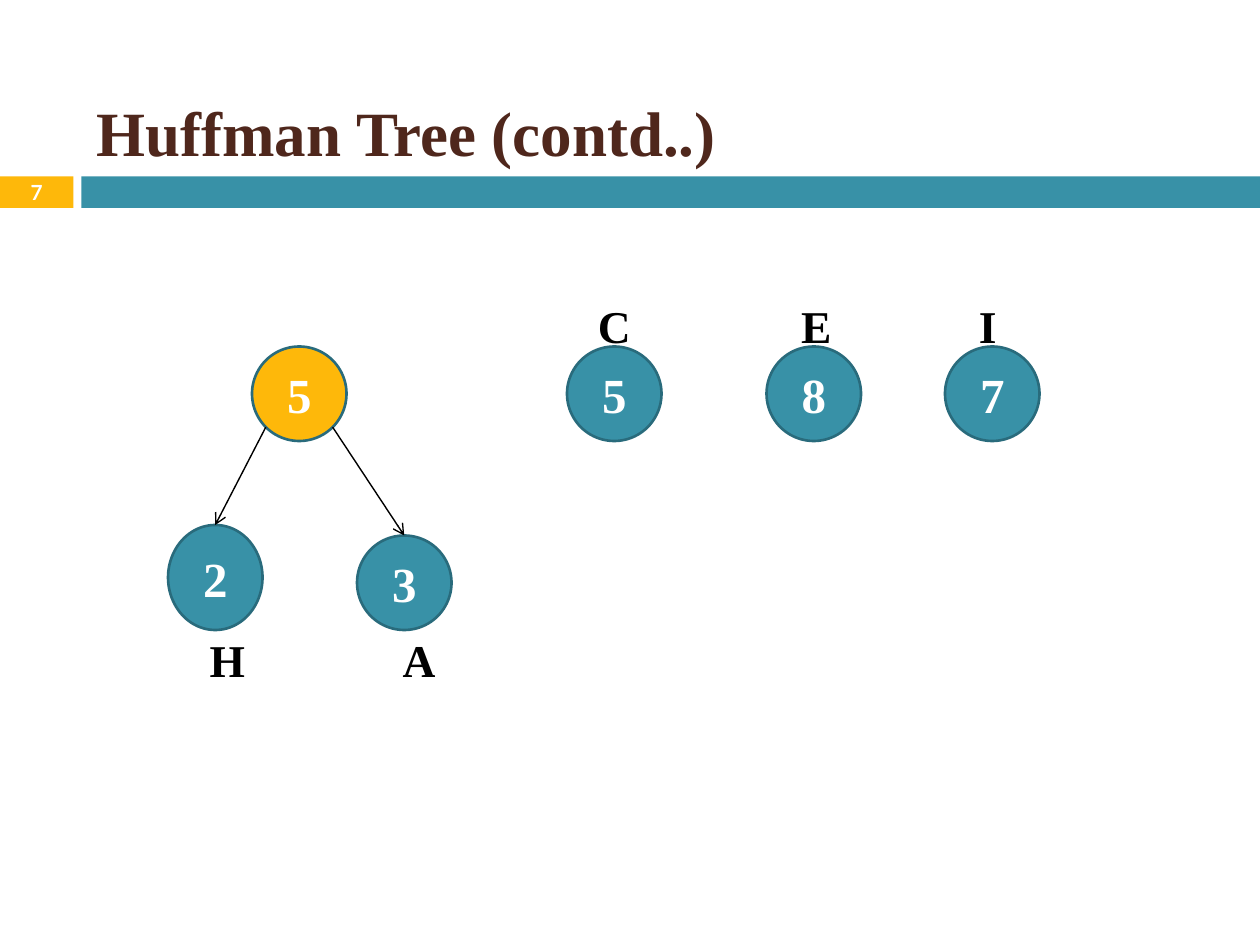
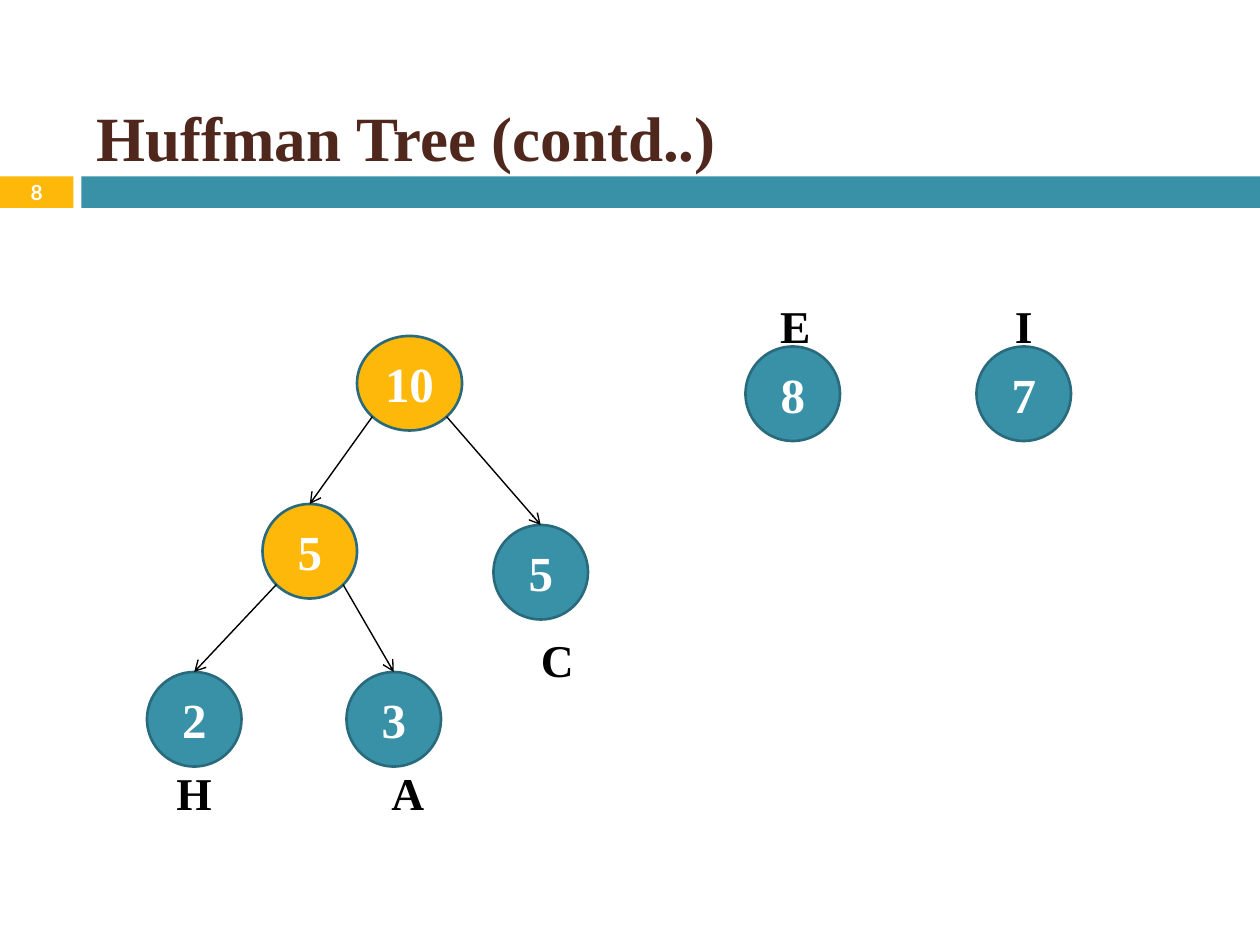
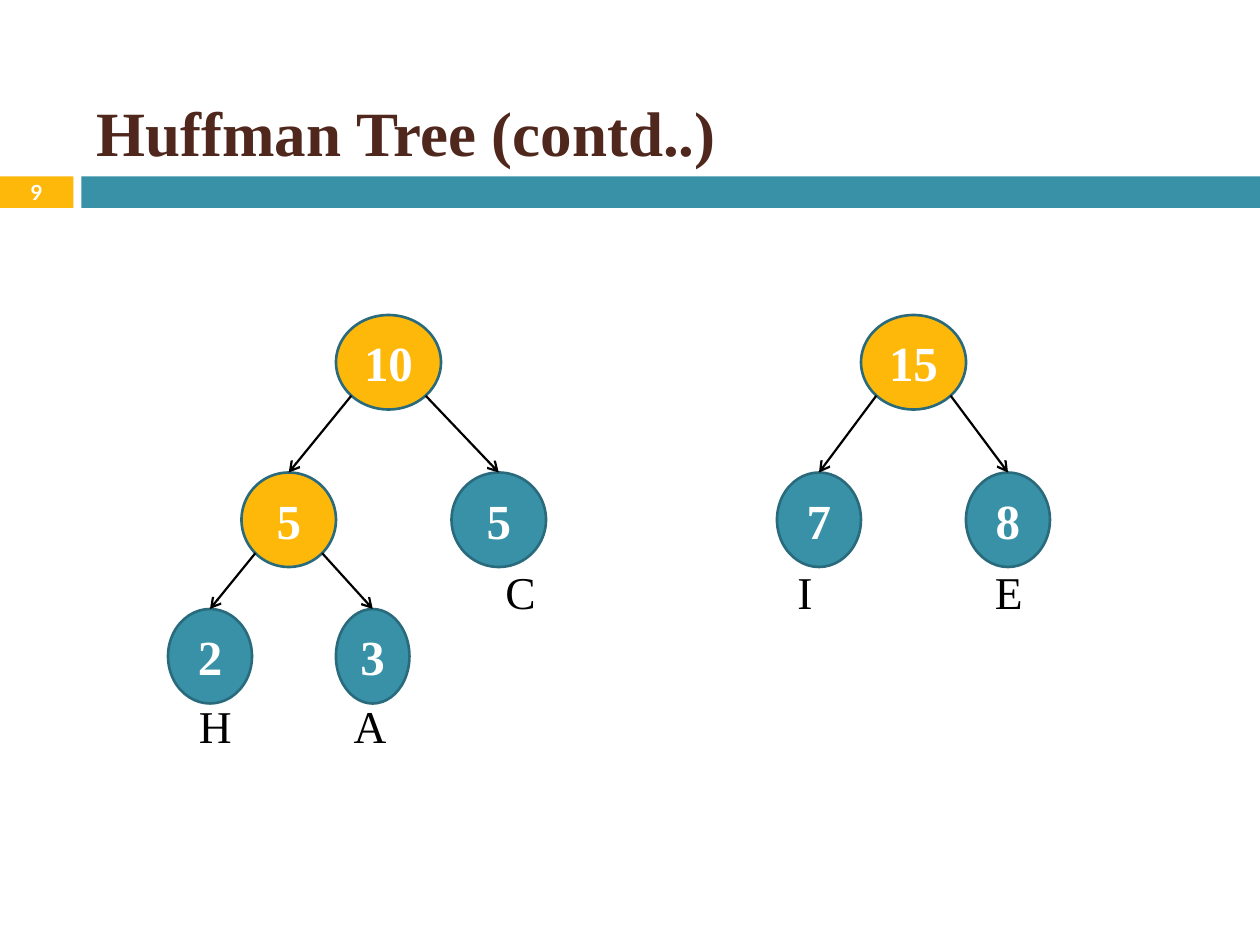
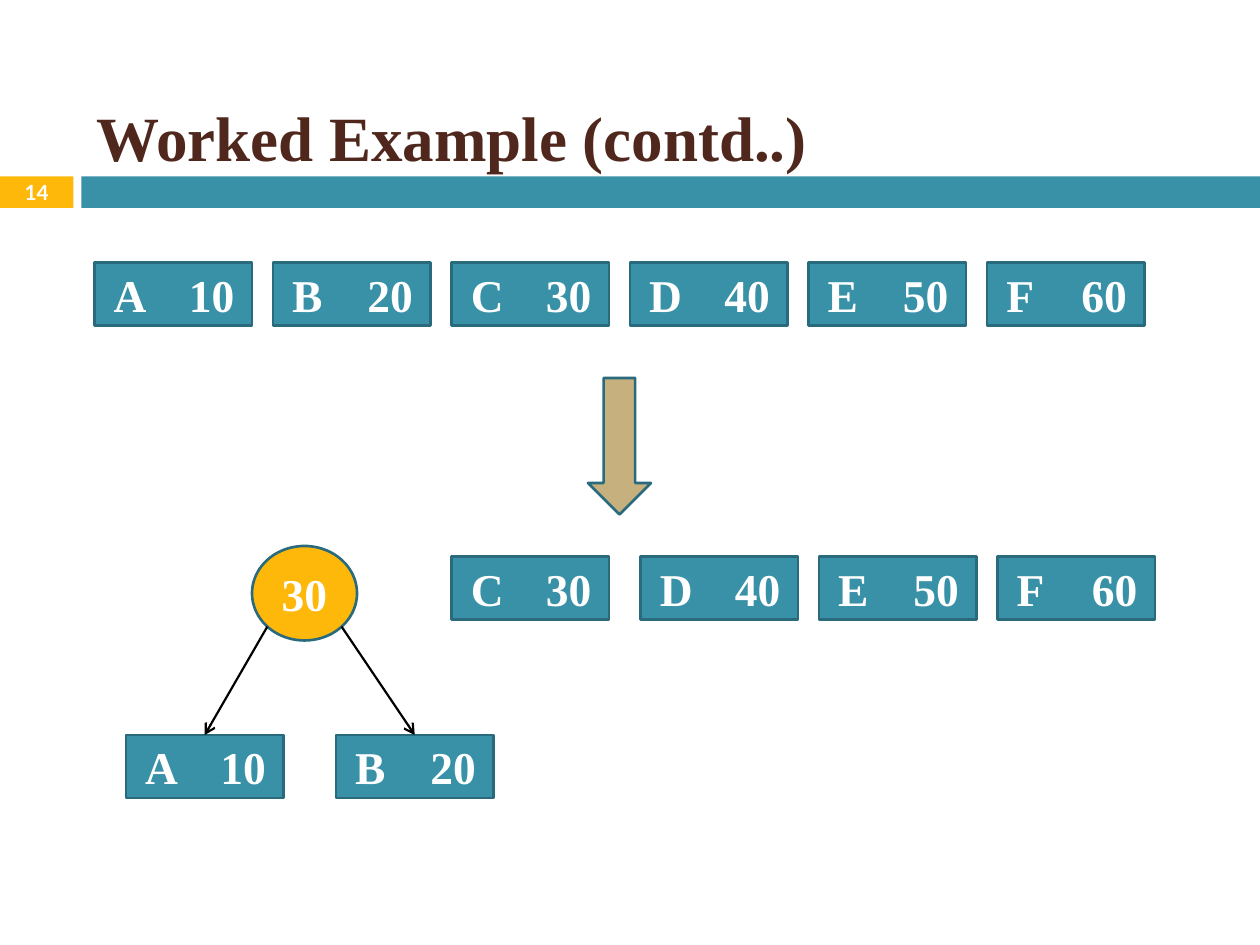
import math

import lxml.etree
import pptx
import pptx.dml.color
import pptx.enum.shapes
import pptx.enum.text
import pptx.oxml.ns
import pptx.util

Pt = pptx.util.Pt
qn = pptx.oxml.ns.qn
SHAPE = pptx.enum.shapes.MSO_SHAPE
ALIGN = pptx.enum.text.PP_ALIGN
MIDDLE = pptx.enum.text.MSO_ANCHOR.MIDDLE

COLOURS = {
    "gold": "FEB80A",
    "teal": "3891A7",
    "outline": "296B7C",
    "brown": "4F271C",
    "sand": "C6B07E",
    "white": "FFFFFF",
    "black": "000000",
}
SERIF = {"name": "Times New Roman", "bold": True}
FONTS = {
    "title": {**SERIF, "size": Pt(36)},
    "number": {"name": "Lato", "bold": True, "size": Pt(11.9)},
    "node": {**SERIF, "size": Pt(28)},
    "text": {**SERIF, "size": Pt(26)},
    "plain": {**SERIF, "size": Pt(26), "bold": False},
}
NO_MARGINS = {"margin_left": 0, "margin_right": 0, "margin_top": 0, "margin_bottom": 0}


def colour(name):
    return pptx.dml.color.RGBColor.from_string(COLOURS[name])


def set_all(target, values):
    for name, value in values.items():
        setattr(target, name, value)


class HuffmanDeck:
    def __init__(self):
        self.deck = pptx.Presentation()
        self.deck.slide_width, self.deck.slide_height = Pt(720), Pt(540)
        self.layout = self.deck.slide_layouts[5]
        for holder in list(self.layout.placeholders):
            if holder.placeholder_format.idx != 0:
                self.layout.shapes.element.remove(holder.element)
        self.page = None

    def start(self, title, number, title_height):
        first = self.page is None
        self.page = self.deck.slides.add_slide(self.layout)
        if first:
            self.bands()
        box = self.page.shapes.title
        set_all(box, {"left": Pt(48), "top": Pt(48), "width": Pt(642), "height": Pt(title_height)})
        box.text_frame.auto_size = pptx.enum.text.MSO_AUTO_SIZE.NONE
        self.fill_text(box, title, "title", "brown", ALIGN.LEFT)
        self.text(number, 0, 100, 42, 19.5, "number", "white")

    def bands(self):
        for left, width, fill in ((0, 42, "gold"), (46.5, 673.5, "teal")):
            band = self.shape(SHAPE.RECTANGLE, left, 100.8, width, 18, fill, None)
            self.layout.shapes.element.insert(2, band.element)

    def fill_text(self, box, text, font, ink, align=ALIGN.CENTER, **margins):
        frame = box.text_frame
        set_all(frame, {"word_wrap": True, "vertical_anchor": MIDDLE, **margins})
        para = frame.paragraphs[0]
        para.alignment = align
        span = para.add_run()
        span.text = text
        set_all(span.font, FONTS[font])
        span.font.color.rgb = colour(ink)
        return para

    def text(self, text, left, top, width, height, font, ink):
        box = self.page.shapes.add_textbox(Pt(left), Pt(top), Pt(width), Pt(height))
        self.fill_text(box, text, font, ink, **NO_MARGINS)

    def letters(self, top, centers, font="text"):
        for letter, center in centers.items():
            self.text(letter, center - 18, top, 36, 30, font, "black")

    def shape(self, kind, left, top, width, height, fill, line="outline"):
        shape = self.page.shapes.add_shape(kind, Pt(left), Pt(top), Pt(width), Pt(height))
        shape.shadow.inherit = False
        shape.fill.solid()
        shape.fill.fore_color.rgb = colour(fill)
        if line:
            shape.line.color.rgb = colour(line)
            shape.line.width = Pt(1.5)
        else:
            shape.line.fill.background()
        return shape

    def node(self, text, left, top, width=54, height=54, fill="teal", font="node"):
        node = self.shape(SHAPE.OVAL, left, top, width, height, fill)
        self.fill_text(node, text, font, "white", **NO_MARGINS)
        return node

    def parent(self, text, left, top, width=60, font="node"):
        return self.node(text, left, top, width, fill="gold", font=font)

    def entry(self, letter, count, left, top):
        box = self.shape(SHAPE.RECTANGLE, left, top, 90, 36, "teal")
        margins = {**NO_MARGINS, "margin_left": Pt(11)}
        para = self.fill_text(box, f"{letter}\t{count}", "text", "white", ALIGN.LEFT, **margins)
        tabs = lxml.etree.SubElement(para._p.get_or_add_pPr(), qn("a:tabLst"))
        lxml.etree.SubElement(tabs, qn("a:tab"), pos=str(Pt(69)), algn="r")
        return box

    def branch(self, parent, left_child, right_child, weight=1.25):
        reach = math.sqrt(0.5) / 2
        for side, child in ((-1, left_child), (1, right_child)):
            start_x = parent.left + int(parent.width * (0.5 + side * reach))
            start_y = parent.top + int(parent.height * (0.5 + reach))
            arrow = self.page.shapes.add_connector(
                pptx.enum.shapes.MSO_CONNECTOR.STRAIGHT, start_x, start_y, child.left, child.top
            )
            arrow.end_connect(child, 0)
            arrow.line.color.rgb = colour("black")
            arrow.line.width = Pt(weight)
            properties = arrow.element.spPr
            lxml.etree.SubElement(properties.find(qn("a:ln")), qn("a:tailEnd"), type="arrow")
            lxml.etree.SubElement(properties, qn("a:effectLst"))


show = HuffmanDeck()

show.start("Huffman Tree (contd..)", "7", 54)
show.letters(171, {"C": 351, "E": 466.5, "I": 564.5})
show.letters(362, {"H": 130, "A": 239.5})
five = show.parent("5", 144, 198, 54)
two = show.node("2", 96, 300, height=60)
three = show.node("3", 204, 306)
for count, left in (("5", 324), ("8", 438), ("7", 540)):
    show.node(count, left, 198)
show.branch(five, two, three, 0.8)

show.start("Huffman Tree (contd..)", "8", 60)
show.letters(171, {"E": 454.5, "I": 585})
show.letters(362, {"C": 318.5})
show.letters(437.5, {"H": 111, "A": 233})
ten = show.parent("10", 204, 192)
for count, left in (("8", 426), ("7", 558)):
    show.node(count, left, 198)
five = show.parent("5", 150, 288, 54)
leaf_five = show.node("5", 282, 300)
two = show.node("2", 84, 384)
three = show.node("3", 198, 384)
show.branch(ten, five, leaf_five, 0.8)
show.branch(five, two, three, 0.8)

show.start("Huffman Tree (contd..)", "9", 54)
show.letters(323, {"C": 297.5, "I": 460, "E": 576.5}, "plain")
show.letters(399.5, {"H": 123, "A": 211.5}, "plain")
ten = show.parent("10", 192, 180)
fifteen = show.parent("15", 492, 180)
five = show.parent("5", 138, 270, 54)
leaf_five = show.node("5", 258, 270)
seven = show.node("7", 444, 270, 48)
eight = show.node("8", 552, 270, 48)
two = show.node("2", 96, 348, 48)
three = show.node("3", 192, 348, 42)
show.branch(ten, five, leaf_five)
show.branch(five, two, three)
show.branch(fifteen, seven, eight)

show.start("Worked Example (contd..)", "14", 60)
counts = {"A": 10, "B": 20, "C": 30, "D": 40, "E": 50, "F": 60}
for index, (letter, count) in enumerate(counts.items()):
    show.entry(letter, count, 54 + 102 * index, 150)
show.shape(SHAPE.DOWN_ARROW, 336, 216, 36, 78, "sand")
thirty = show.parent("30", 144, 312, font="text")
for letter, left in (("C", 258), ("D", 366), ("E", 468), ("F", 570)):
    show.entry(letter, counts[letter], left, 318)
first = show.entry("A", counts["A"], 72, 420)
second = show.entry("B", counts["B"], 192, 420)
show.branch(thirty, first, second)

show.deck.save("out.pptx")
